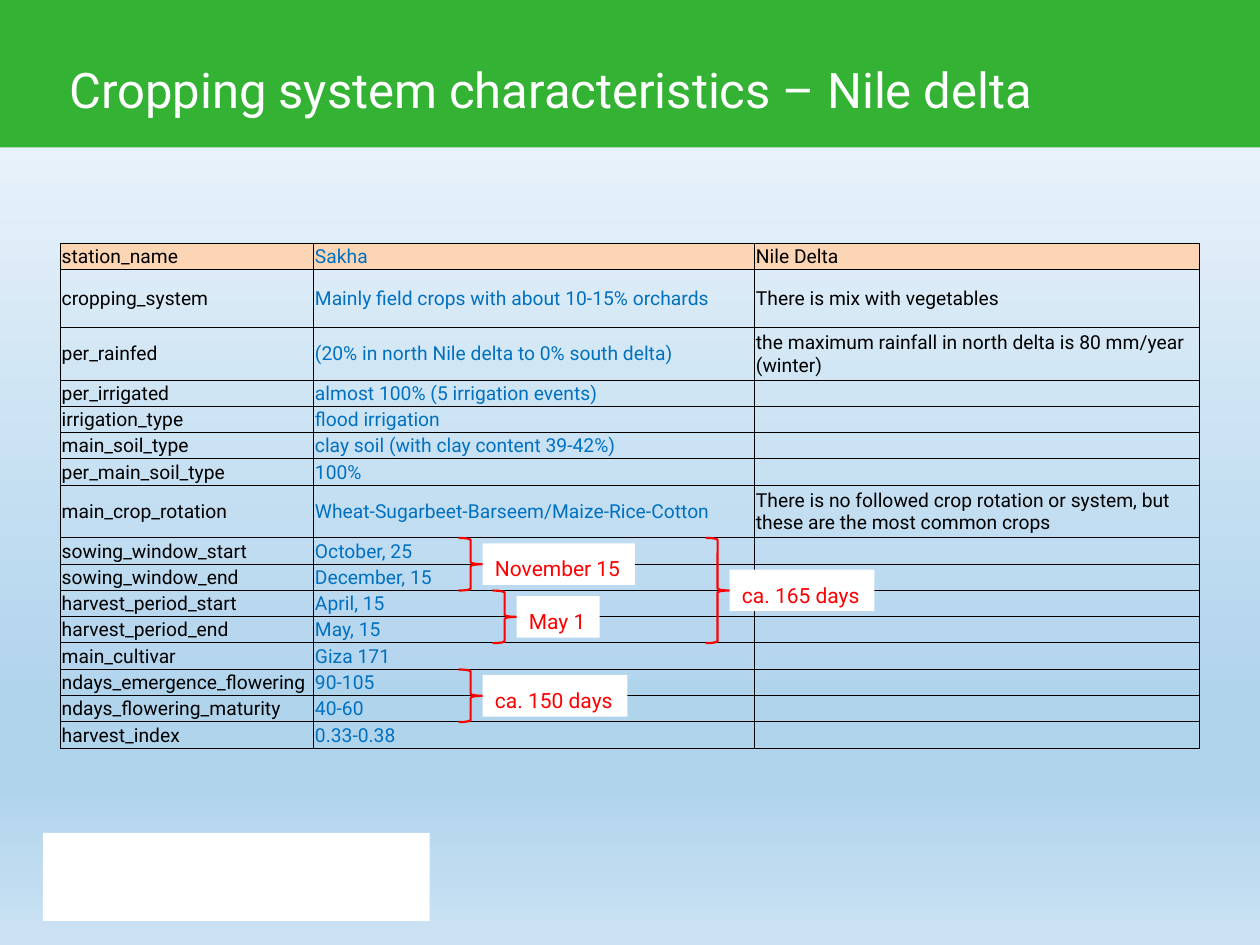
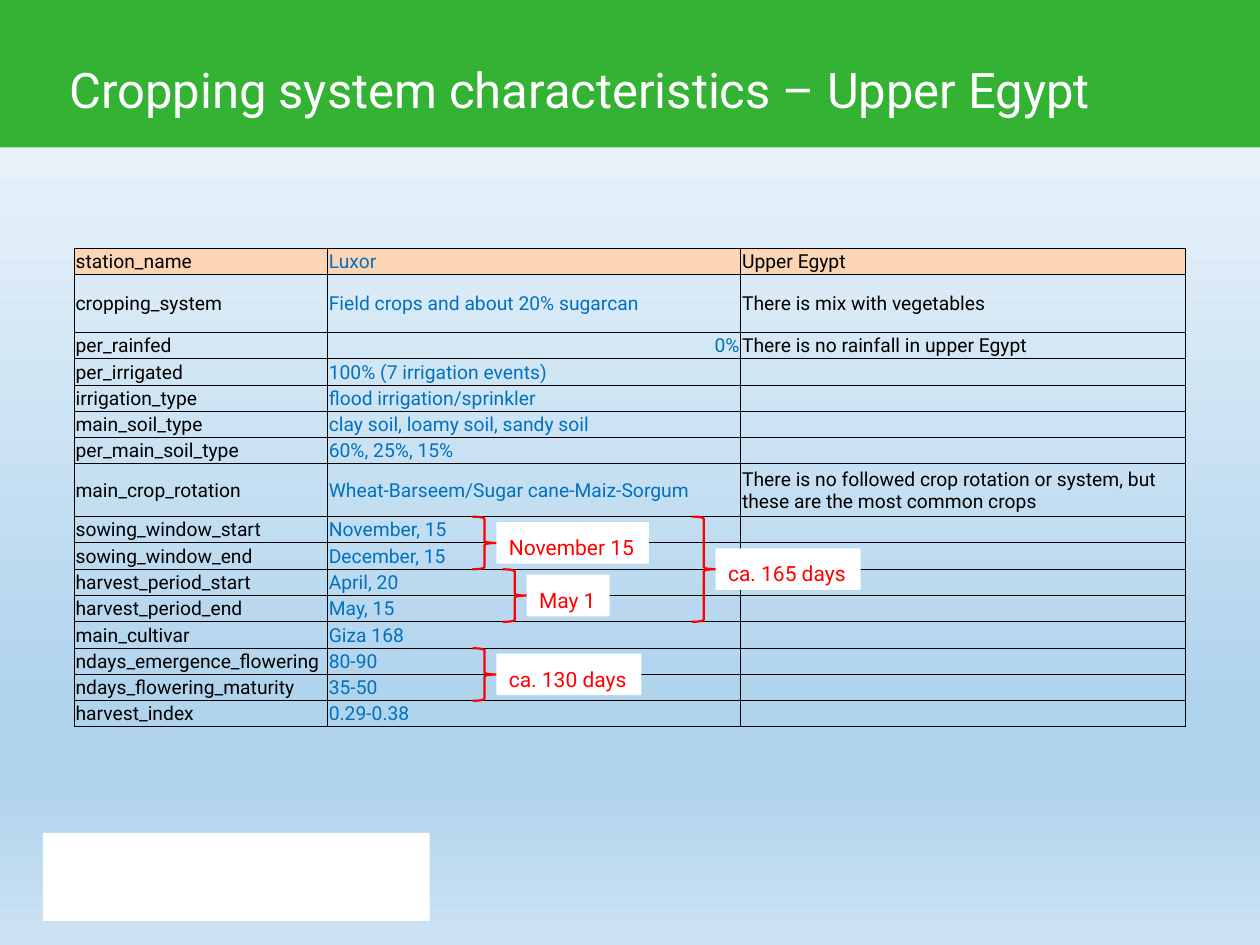
import lxml.etree
import pptx
import pptx.dml.color
import pptx.enum.shapes
import pptx.enum.text
import pptx.oxml.ns
import pptx.util

Inches, Pt, qn = pptx.util.Inches, pptx.util.Pt, pptx.oxml.ns.qn
SHAPES = pptx.enum.shapes.MSO_SHAPE
ALIGN = pptx.enum.text.PP_ALIGN

COLORS = {
    "band": "34B233", "white": "FFFFFF", "header": "FCD5B4", "field": "000000",
    "value": "0070C0", "mark": "FF0000",
}
SKY = [(0, "F6FAFD"), (74, "B1D4ED"), (83, "B1D4ED"), (100, "CBE2F3")]
FONT = "Roboto"
WIDTH, HEIGHT = 10, 7.5

# Table grid: one plain row is the unit of height
ROW = 4.01 / 19.2
FIELD_WIDTH, NOTE_WIDTH = 2.01, 3.53
BRACE_WIDTH, LABEL_HEIGHT = 0.19, 0.33
FIELDS = [
    "station_name", "cropping_system", "per_rainfed", "per_irrigated",
    "irrigation_type", "main_soil_type", "per_main_soil_type", "main_crop_rotation",
    "sowing_window_start", "sowing_window_end", "harvest_period_start",
    "harvest_period_end", "main_cultivar", "ndays_emergence_flowering",
    "ndays_flowering_maturity", "harvest_index",
]
ROTATION_NOTE = ("There is no followed crop rotation or system, "
                 "but these are the most common crops")

REGIONS = [
    {
        "name": "Nile Delta", "title": "Nile delta", "top": 1.93, "value_width": 3.5,
        "rainfed_rows": 2, "rainfed_align": ALIGN.LEFT,
        "values": [
            "Sakha", "Mainly field crops with about 10-15% orchards",
            "(20% in north Nile delta to 0% south delta)",
            "almost 100% (5 irrigation events)", "flood irrigation",
            "clay soil (with clay content 39-42%)", "100%",
            "Wheat-Sugarbeet-Barseem/Maize-Rice-Cotton", "October, 25", "December, 15",
            "April, 15", "May, 15", "Giza 171", "90-105", "40-60", "0.33-0.38",
        ],
        "rain_note": "the maximum rainfall in north delta is 80 mm/year (winter)",
        "harvest_offset": 3.43, "growth": "ca. 150 days",
    },
    {
        "name": "Upper Egypt", "title": "Upper Egypt", "top": 1.97, "value_width": 3.28,
        "rainfed_rows": 1, "rainfed_align": ALIGN.RIGHT,
        "values": [
            "Luxor", "Field crops and about 20% sugarcan", "0%",
            "100% (7 irrigation events)", "flood irrigation/sprinkler",
            "clay soil, loamy soil, sandy soil", "60%, 25%, 15%",
            "Wheat-Barseem/Sugar cane-Maiz-Sorgum", "November, 15", "December, 15",
            "April, 20", "May, 15", "Giza 168", "80-90", "35-50", "0.29-0.38",
        ],
        "rain_note": "There is no rainfall in upper Egypt",
        "harvest_offset": 3.4, "growth": "ca. 130 days",
    },
]


def rgb(name):
    return pptx.dml.color.RGBColor.from_string(COLORS[name])


def write(frame, text, size, color, margins, line_spacing=None):
    """Put one styled paragraph in a text frame; margins are left, top, right, bottom."""
    (frame.margin_left, frame.margin_top,
     frame.margin_right, frame.margin_bottom) = map(Inches, margins)
    paragraph = frame.paragraphs[0]
    if text:
        paragraph.text = text
    else:
        lxml.etree.SubElement(paragraph._p, qn("a:endParaRPr"), sz=str(size * 100))
    if line_spacing:
        paragraph.line_spacing = Pt(line_spacing)
    paragraph.font.name = FONT
    paragraph.font.size = Pt(size)
    paragraph.font.color.rgb = rgb(color)
    return paragraph


prs = pptx.Presentation()
prs.slide_width, prs.slide_height = Inches(WIDTH), Inches(HEIGHT)

# Sky gradient shared by all slides
sky_fill = prs.slide_master.background.fill
sky_fill.gradient()
sky_fill.gradient_angle = 270
sky_stops = next(prs.slide_master.element.iter(qn("a:gsLst")))
for stop in list(sky_stops):
    sky_stops.remove(stop)
for percent, shade in SKY:
    stop = lxml.etree.SubElement(sky_stops, qn("a:gs"), pos=str(percent * 1000))
    lxml.etree.SubElement(stop, qn("a:srgbClr"), val=shade)

for region in REGIONS:
    slide = prs.slides.add_slide(prs.slide_layouts[6])

    # Title band and footer panel
    for color, box in [("band", (-0.05, -0.03, 10.11, 1.2)),
                       ("white", (0.34, 6.61, 3.07, 0.7))]:
        panel = slide.shapes.add_shape(SHAPES.RECTANGLE, *map(Inches, box))
        panel.shadow.inherit = False
        panel.fill.solid()
        panel.fill.fore_color.rgb = rgb(color)
        panel.line.fill.background()
        if color == "band":
            title = slide.shapes.add_textbox(*map(Inches, (0.53, 0.38, 9.01, 0.88)))
            title.text_frame.word_wrap = True
            write(title.text_frame, f"Cropping system characteristics – {region['title']}",
                  28, "white", (0.02, 0, 0.1, 0.35), 40)

    # Station table, centred across the slide
    notes = {"station_name": region["name"],
             "cropping_system": "There is mix with vegetables",
             "per_rainfed": region["rain_note"],
             "main_crop_rotation": ROTATION_NOTE}
    tall_rows = {"cropping_system": 2.2, "per_rainfed": region["rainfed_rows"],
                 "main_crop_rotation": 2}
    heights = [ROW * tall_rows.get(field, 1) for field in FIELDS]
    widths = [FIELD_WIDTH, region["value_width"], NOTE_WIDTH]
    left = (WIDTH - sum(widths)) / 2
    table = slide.shapes.add_table(
        len(FIELDS), len(widths), Inches(left), Inches(region["top"]),
        Inches(sum(widths)), Inches(sum(heights))).table
    table.first_row = table.horz_banding = False
    for column, width in zip(table.columns, widths):
        column.width = Inches(width)
    for r, (field, value) in enumerate(zip(FIELDS, region["values"])):
        table.rows[r].height = Inches(heights[r])
        for c, text in enumerate([field, value, notes.get(field, "")]):
            cell = table.cell(r, c)
            cell.vertical_anchor = pptx.enum.text.MSO_ANCHOR.MIDDLE
            entry = write(cell.text_frame, text, 11, "value" if c == 1 else "field",
                          (0.01, 0.01, 0.01, 0))
            cell.margin_left = cell.margin_right = cell.margin_top = Inches(0.01)
            cell.margin_bottom = 0
            if c == 1 and field == "per_rainfed":
                entry.alignment = region["rainfed_align"]
            if r == 0:
                cell.fill.solid()
                cell.fill.fore_color.rgb = rgb("header")
            else:
                cell.fill.background()
            properties = cell._tc.get_or_add_tcPr()
            for position, side in enumerate(["lnL", "lnR", "lnT", "lnB"]):
                border = lxml.etree.Element(qn(f"a:{side}"), w=str(Pt(0.5)))
                ink = lxml.etree.SubElement(border, qn("a:solidFill"))
                lxml.etree.SubElement(ink, qn("a:srgbClr"), val=COLORS["field"])
                properties.insert(position, border)

    # Braces: first field, rows spanned, offset from the table's left, label, label width
    season_offset = FIELD_WIDTH + region["value_width"] - 0.39
    braces = [
        ("sowing_window_start", 2, 3.16, "November 15", 1.21),
        ("harvest_period_start", 2, region["harvest_offset"], "May 1", 0.66),
        ("ndays_emergence_flowering", 2, 3.16, region["growth"], 1.15),
        ("sowing_window_start", 4, season_offset, "ca. 165 days", 1.15),
    ]
    for first_field, span, offset, caption, caption_width in braces:
        top = region["top"] + sum(heights[:FIELDS.index(first_field)])
        brace = slide.shapes.add_shape(
            SHAPES.RIGHT_BRACE, Inches(left + offset), Inches(top),
            Inches(BRACE_WIDTH), Inches(span * ROW))
        brace.shadow.inherit = False
        brace.fill.background()
        brace.line.color.rgb = rgb("mark")
        brace.line.width = Pt(1.25)
        label = slide.shapes.add_textbox(
            Inches(left + offset + BRACE_WIDTH),
            Inches(top + (span * ROW - LABEL_HEIGHT) / 2),
            Inches(caption_width), Inches(LABEL_HEIGHT))
        label.fill.solid()
        label.fill.fore_color.rgb = rgb("white")
        label.text_frame.word_wrap = False
        write(label.text_frame, caption, 12, "mark", (0.1, 0.05, 0.1, 0.05), 18)

prs.save("out.pptx")
